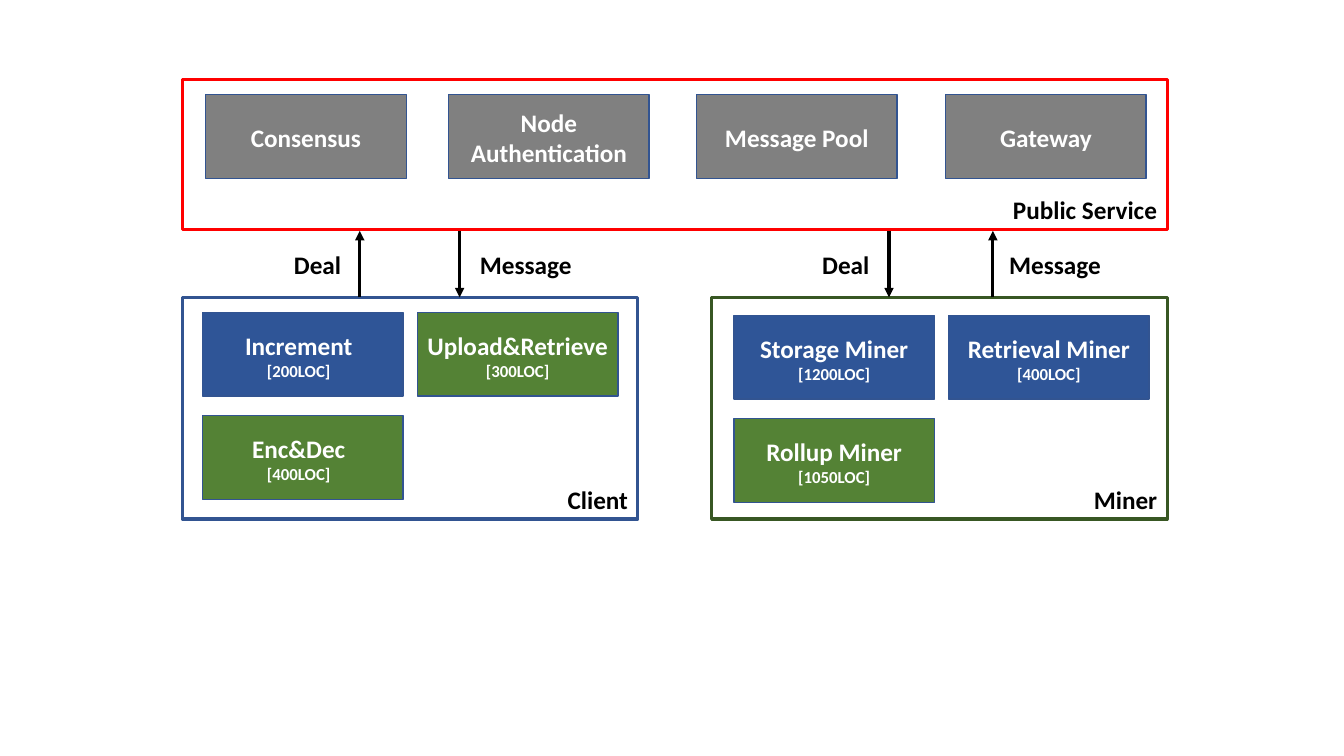
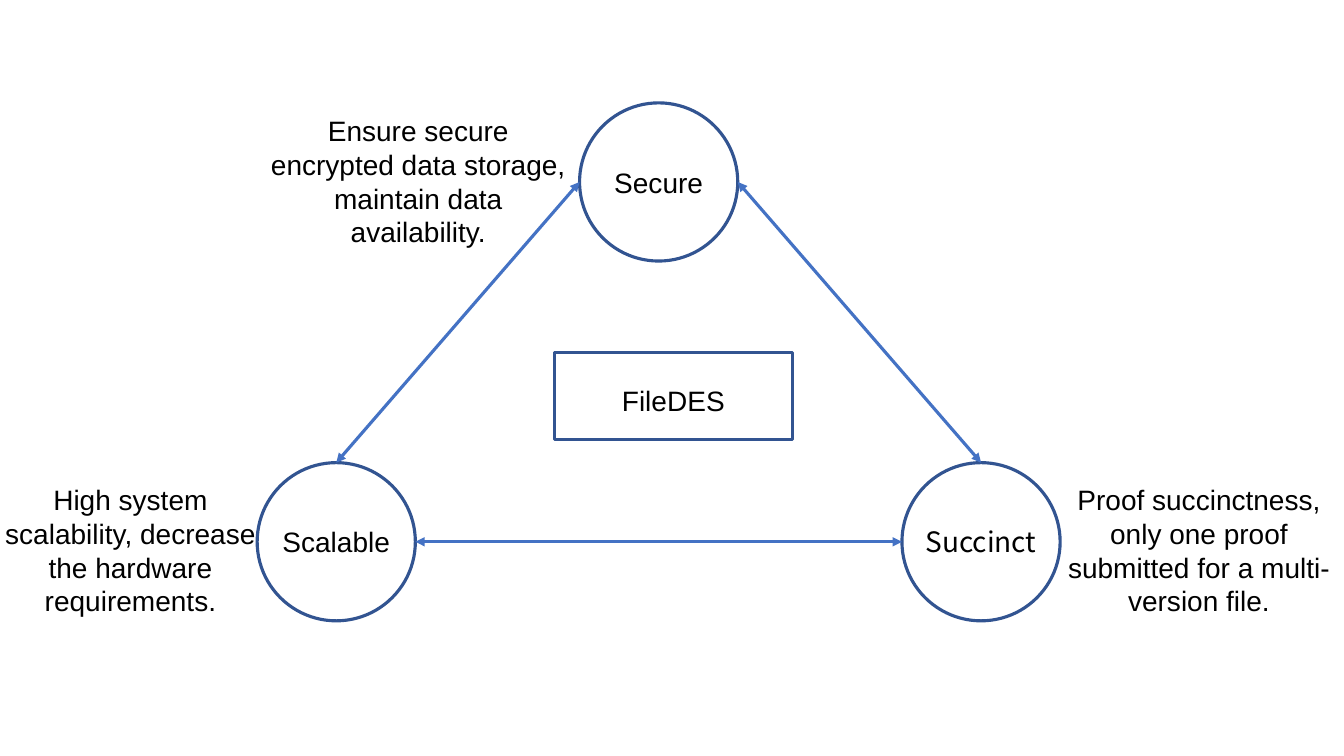
"""Build two diagram slides: a service architecture and a triangle of design goals."""
from dataclasses import dataclass

from lxml import etree
from pptx import Presentation
from pptx.dml.color import RGBColor
from pptx.enum.shapes import MSO_CONNECTOR, MSO_SHAPE
from pptx.enum.text import MSO_ANCHOR, PP_ALIGN
from pptx.oxml.ns import qn
from pptx.util import Pt

RECT, OVAL = MSO_SHAPE.RECTANGLE, MSO_SHAPE.OVAL
STRAIGHT = MSO_CONNECTOR.STRAIGHT
CENTER, RIGHT = PP_ALIGN.CENTER, PP_ALIGN.RIGHT
TOP, MIDDLE, BOTTOM = MSO_ANCHOR.TOP, MSO_ANCHOR.MIDDLE, MSO_ANCHOR.BOTTOM


@dataclass(frozen=True)
class Theme:
    black: str = "000000"
    white: str = "FFFFFF"
    gray: str = "808080"
    red: str = "FF0000"
    outline: str = "325491"
    blue: str = "2F5597"
    green: str = "548235"
    dark_green: str = "385723"
    arrow_blue: str = "4472C4"
    label_font: str = "Calibri"
    body_font: str = "Arial"
    cjk_font: str = "Noto Sans CJK SC"
    label_size: float = 18
    note_size: float = 12
    body_size: float = 20
    thin: float = 1
    thick: float = 2.25


THEME = Theme()


@dataclass(frozen=True)
class Area:
    left: float
    top: float
    width: float
    height: float


@dataclass(frozen=True)
class Span:
    text: str
    size: float = THEME.label_size
    font: str = THEME.label_font
    color: str = THEME.black
    bold: bool = True


@dataclass(frozen=True)
class Panel:
    name: str
    area: Area
    color: str


@dataclass(frozen=True)
class Tile:
    name: str
    left: float
    top: float
    fill: str
    note: str = ""
    shift: float = 0


@dataclass(frozen=True)
class Flow:
    name: str
    x: float
    upward: bool
    label_offset: float


@dataclass(frozen=True)
class Goal:
    name: str
    x: float
    y: float
    caption: str
    caption_area: Area
    font: str = THEME.body_font


PUBLIC = Panel("Public Service", Area(130.3, 56.9, 703.4, 107.3), THEME.red)
CLIENT = Panel("Client", Area(130.3, 212.4, 325.4, 158.4), THEME.outline)
MINER = Panel("Miner", Area(508.3, 212.4, 325.4, 158.4), THEME.dark_green)

TILE_WIDTH, TILE_HEIGHT = 143.3, 59.8
COLUMN_STEP, ROW_STEP = 153.4, 73.8
CLIENT_X, CLIENT_Y = 144.7, 223.2
MINER_X, MINER_Y = 524.2, 225.2
SERVICE_Y = 67.7

SERVICES = [
    Tile(name, left, SERVICE_Y, THEME.gray)
    for name, left in [("Consensus", 146.9), ("Node Authentication", 320.4),
                       ("Message Pool", 497.5), ("Gateway", 675.4)]
]
MODULES = [
    Tile("Increment", CLIENT_X, CLIENT_Y, THEME.blue, "[200LOC]", -3),
    Tile("Upload&Retrieve", CLIENT_X + COLUMN_STEP, CLIENT_Y, THEME.green, "[300LOC]"),
    Tile("Enc&Dec", CLIENT_X, CLIENT_Y + ROW_STEP, THEME.green, "[400LOC]", -3),
    Tile("Storage Miner", MINER_X, MINER_Y, THEME.blue, "[1200LOC]"),
    Tile("Retrieval Miner", MINER_X + COLUMN_STEP, MINER_Y, THEME.blue, "[400LOC]"),
    Tile("Rollup Miner", MINER_X, MINER_Y + ROW_STEP, THEME.green, "[1050LOC]"),
]

FLOW_TOP, FLOW_BOTTOM = 164.9, 212.4
FLOW_LABEL_WIDTH, FLOW_LABEL_HEIGHT = 110, 28.8
FLOWS = [
    Flow("Deal", 257, True, -30.2),
    Flow("Message", 328.3, False, 47.2),
    Flow("Deal", 635, False, -30.9),
    Flow("Message", 709.2, True, 44.3),
]

RADIUS = 56.5
CAPTION_HEIGHT = 97.2
SECURE = Goal("Secure", 470.5, 130,
              "Ensure secure encrypted data storage, maintain data availability.",
              Area(190.8, 81.4, 216, CAPTION_HEIGHT))
SCALABLE = Goal("Scalable", 240.2, 387,
                "High system scalability, decrease the hardware requirements.",
                Area(1.4, 344.9, 183.6, CAPTION_HEIGHT))
SUCCINCT = Goal("Succinct", 700.8, 387,
                "Proof succinctness, only one proof submitted for a multi-version file.",
                Area(758.9, 344.9, 195.1, CAPTION_HEIGHT), THEME.cjk_font)
SYSTEM_AREA = Area(396, 252, 170, 62)


def rgb(color: str) -> RGBColor:
    """Turn a hex colour into an RGB value."""
    return RGBColor.from_string(color)


def write(shape, spans: list[Span], align=CENTER, anchor=MIDDLE,
          insets: tuple[float, float, float, float] = (0, 0, 0, 0),
          wrap: bool = True) -> None:
    """Write one paragraph per span, with insets left, top, right, bottom."""
    frame = shape.text_frame
    frame.word_wrap = wrap
    frame.vertical_anchor = anchor
    (frame.margin_left, frame.margin_top,
     frame.margin_right, frame.margin_bottom) = map(Pt, insets)
    for index, span in enumerate(spans):
        para = frame.add_paragraph() if index else frame.paragraphs[0]
        para.alignment = align
        run = para.add_run()
        run.text = span.text
        run.font.size = Pt(span.size)
        run.font.name = span.font
        run.font.bold = span.bold
        run.font.color.rgb = rgb(span.color)


def add_box(page, kind, area: Area, line: str, weight: float, fill: str = ""):
    """Add an outlined shape, filled only when a fill colour is given."""
    shape = page.shapes.add_shape(kind, Pt(area.left), Pt(area.top),
                                  Pt(area.width), Pt(area.height))
    shape.shadow.inherit = False
    if fill:
        shape.fill.solid()
        shape.fill.fore_color.rgb = rgb(fill)
    else:
        shape.fill.background()
    shape.line.color.rgb = rgb(line)
    shape.line.width = Pt(weight)
    return shape


def add_text(page, area: Area, span: Span, anchor=MIDDLE) -> None:
    """Add a centred text box."""
    box = page.shapes.add_textbox(Pt(area.left), Pt(area.top),
                                  Pt(area.width), Pt(area.height))
    write(box, [span], anchor=anchor)


def add_arrow(page, start: tuple[float, float], end: tuple[float, float],
              color: str, both_ends: bool = False) -> None:
    """Draw a straight arrow with one or two triangle heads."""
    arrow = page.shapes.add_connector(STRAIGHT, *map(Pt, (*start, *end)))
    arrow.line.color.rgb = rgb(color)
    arrow.line.width = Pt(THEME.thick)
    line = arrow.line._get_or_add_ln()
    for tag in ("a:headEnd", "a:tailEnd") if both_ends else ("a:tailEnd",):
        etree.SubElement(line, qn(tag), type="triangle")
    etree.SubElement(arrow._element.spPr, qn("a:effectLst"))


def add_panel(page, panel: Panel) -> None:
    """Draw a frame named in its lower right corner."""
    shape = add_box(page, RECT, panel.area, panel.color, THEME.thick)
    write(shape, [Span(panel.name)], RIGHT, BOTTOM, (7.2, 3.6, 7.2, 3.6))


def add_tile(page, tile: Tile) -> None:
    """Draw a filled tile with a name and an optional small note."""
    area = Area(tile.left, tile.top, TILE_WIDTH, TILE_HEIGHT)
    shape = add_box(page, RECT, area, THEME.outline, THEME.thin, tile.fill)
    spans = [Span(tile.name, color=THEME.white)]
    if tile.note:
        spans.append(Span(tile.note, THEME.note_size, color=THEME.white))
    write(shape, spans, insets=(3.6 + tile.shift, 1.5, 3.6 - tile.shift, 0))


def add_flow(page, flow: Flow) -> None:
    """Draw a vertical arrow with its label beside it."""
    ends = [(flow.x, FLOW_TOP), (flow.x, FLOW_BOTTOM)]
    if flow.upward:
        ends.reverse()
    add_arrow(page, *ends, THEME.black)
    left = flow.x + flow.label_offset - FLOW_LABEL_WIDTH / 2
    add_text(page, Area(left, 174.2, FLOW_LABEL_WIDTH, FLOW_LABEL_HEIGHT), Span(flow.name))


def body(text: str, font: str = THEME.body_font) -> Span:
    """Make a span in the plain body style."""
    return Span(text, THEME.body_size, font, bold=False)


def add_goal(page, goal: Goal) -> None:
    """Draw a named circle and its caption."""
    area = Area(goal.x - RADIUS, goal.y - RADIUS, 2 * RADIUS, 2 * RADIUS)
    circle = add_box(page, OVAL, area, THEME.outline, THEME.thick)
    write(circle, [body(goal.name, goal.font)], wrap=False)
    add_text(page, goal.caption_area, body(goal.caption), TOP)


def build_architecture(page) -> None:
    """Draw the public service, client and miner with their messages."""
    for panel in (PUBLIC, CLIENT, MINER):
        add_panel(page, panel)
    for tile in SERVICES + MODULES:
        add_tile(page, tile)
    for flow in FLOWS:
        add_flow(page, flow)


def build_goals(page) -> None:
    """Draw three linked goals around the system."""
    for goal in (SECURE, SCALABLE, SUCCINCT):
        add_goal(page, goal)
    for goal, side in ((SCALABLE, -RADIUS), (SUCCINCT, RADIUS)):
        add_arrow(page, (SECURE.x + side, SECURE.y), (goal.x, goal.y - RADIUS),
                  THEME.arrow_blue, True)
    add_arrow(page, (SCALABLE.x + RADIUS, SCALABLE.y),
              (SUCCINCT.x - RADIUS, SUCCINCT.y), THEME.arrow_blue, True)
    system = add_box(page, RECT, SYSTEM_AREA, THEME.outline, THEME.thick)
    write(system, [body("FileDES")], insets=(0, 6, 0, 0))


def main() -> None:
    """Build and save the deck."""
    deck = Presentation()
    deck.slide_width, deck.slide_height = Pt(960), Pt(540)
    for build in (build_architecture, build_goals):
        build(deck.slides.add_slide(deck.slide_layouts[6]))
    deck.save("out.pptx")


if __name__ == "__main__":
    main()
